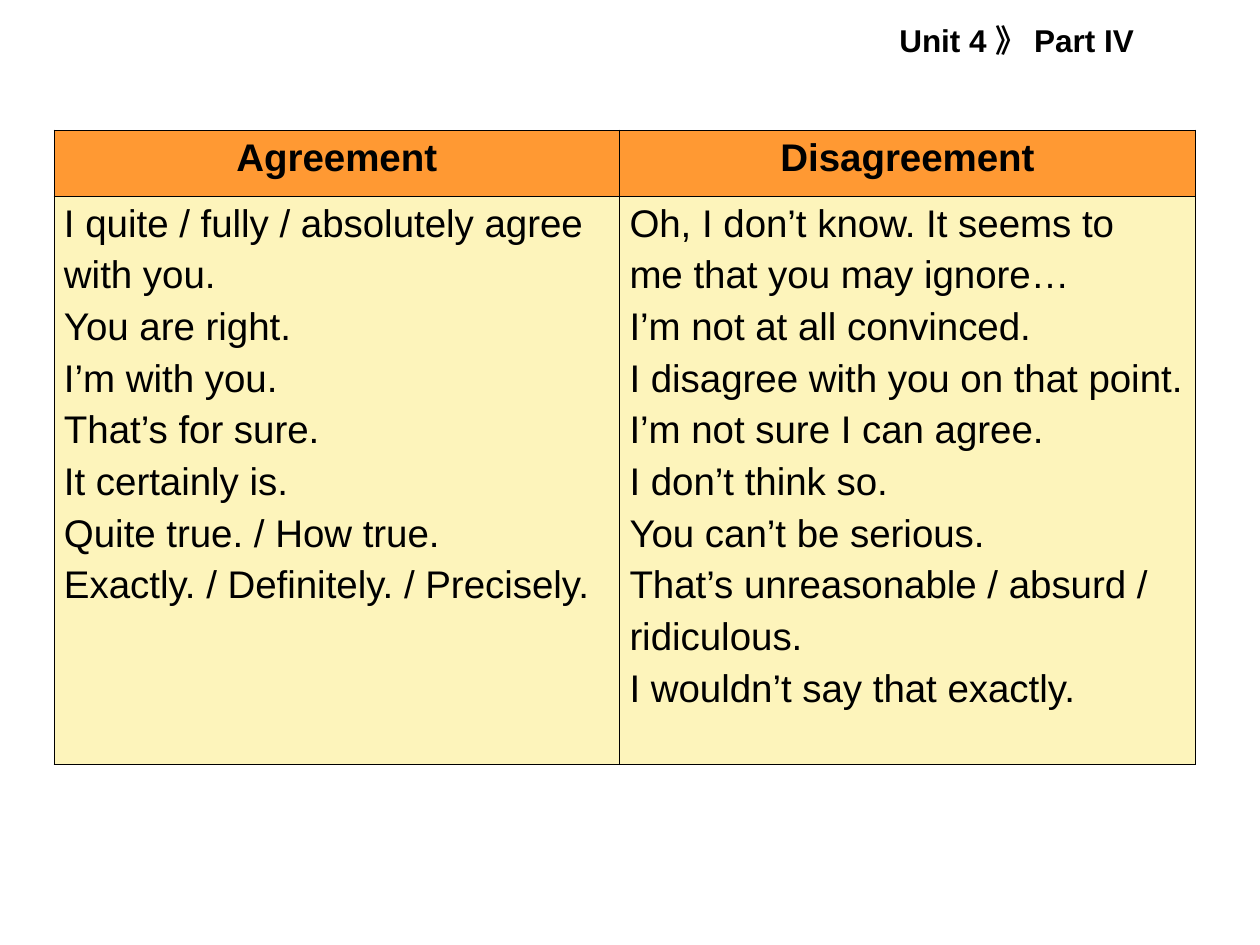
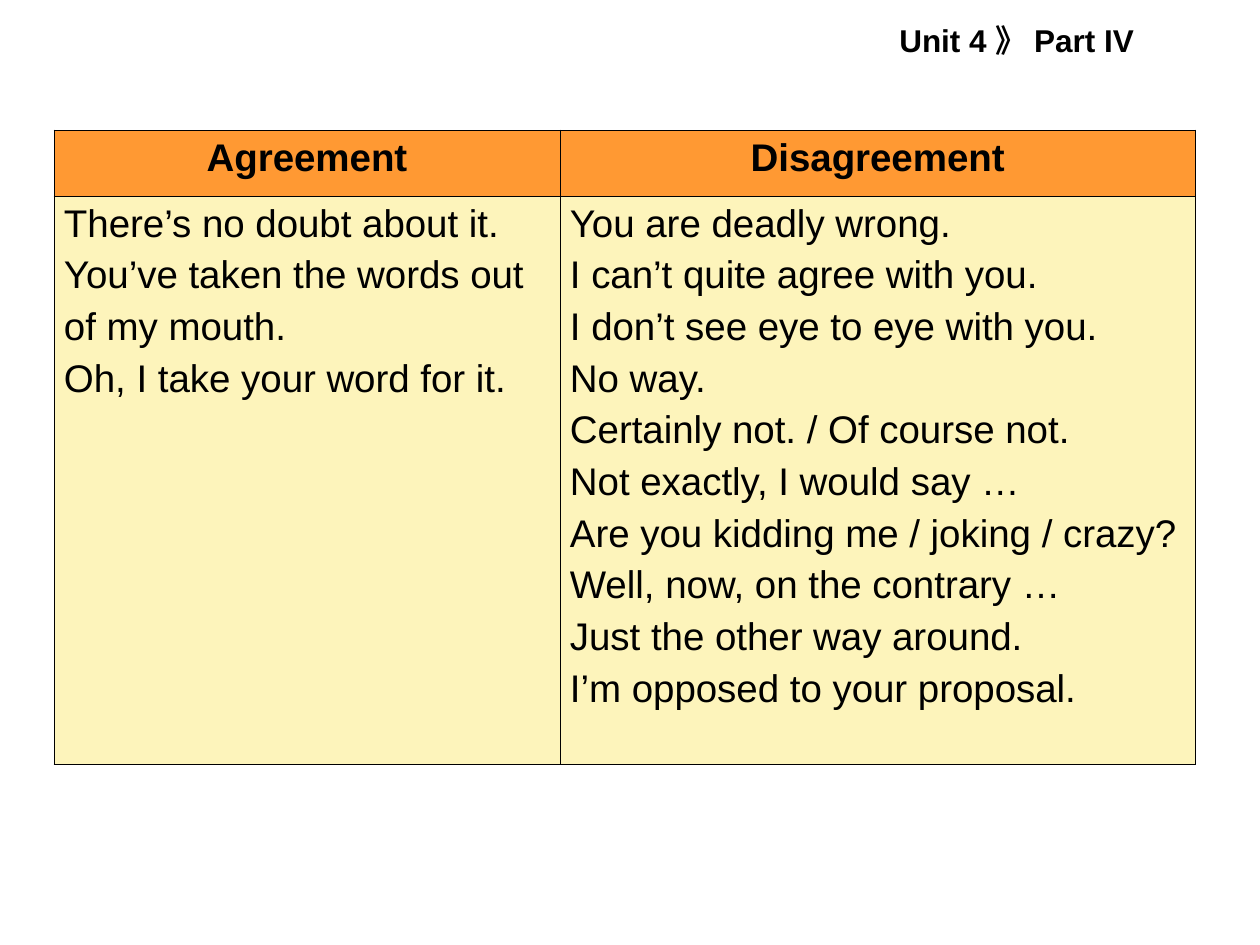
"""Build two slides of phrases for agreeing and disagreeing."""
from dataclasses import dataclass

from lxml.etree import SubElement
from pptx import Presentation
from pptx.dml.color import RGBColor as Rgb
from pptx.enum.text import MSO_AUTO_SIZE as AutoSize, PP_ALIGN as Align
from pptx.oxml.ns import qn
from pptx.util import Cm, Pt

RUNNING_HEAD = "Unit 4 》 Part IV"
COLUMN_TITLES = ("Agreement", "Disagreement")
PHRASE_SLIDES = [
    {
        "agreement_width": 11.4,
        "phrases": (
            [
                "I quite / fully / absolutely agree",
                "with you.",
                "You are right.",
                "I’m with you.",
                "That’s for sure.",
                "It certainly is.",
                "Quite true. / How true.",
                "Exactly. / Definitely. / Precisely.",
            ],
            [
                "Oh, I don’t know. It seems to",
                "me that you may ignore…",
                "I’m not at all convinced.",
                "I disagree with you on that point.",
                "I’m not sure I can agree.",
                "I don’t think so.",
                "You can’t be serious.",
                "That’s unreasonable / absurd /",
                "ridiculous.",
                "I wouldn’t say that exactly.",
            ],
        ),
    },
    {
        "agreement_width": 10.2,
        "phrases": (
            [
                "There’s no doubt about it.",
                "You’ve taken the words out",
                "of my mouth.",
                "Oh, I take your word for it.",
            ],
            [
                "You are deadly wrong.",
                "I can’t quite agree with you.",
                "I don’t see eye to eye with you.",
                "No way.",
                "Certainly not. / Of course not.",
                "Not exactly, I would say …",
                "Are you kidding me / joking / crazy?",
                "Well, now, on the contrary …",
                "Just the other way around.",
                "I’m opposed to your proposal.",
            ],
        ),
    },
]


@dataclass(frozen=True)
class Theme:
    """Colours, type sizes and line weights of the deck."""
    font: str = "Arial"
    ink: str = "000000"
    title_fill: str = "FF9933"
    phrase_fill: str = "FDF4BB"
    head_size: float = 18
    table_size: float = 22
    phrase_gap: float = 4.9
    border: float = 0.45


THEME = Theme()
SLIDE_WIDTH, SLIDE_HEIGHT = 25.4, 19.05
TABLE_LEFT, TABLE_TOP, TABLE_WIDTH = 1.09, 2.62, 23.01
ROW_HEIGHTS = (1.33, 11.46)
CELL_MARGINS = {
    "margin_left": Cm(0.2), "margin_right": Cm(0.2),
    "margin_top": Cm(0.13), "margin_bottom": Cm(0.13),
}


def apply_format(target, values):
    """Set every attribute named in values on target."""
    for name, value in values.items():
        setattr(target, name, value)


def write_lines(frame, lines, size, bold, align=Align.LEFT):
    """Write one paragraph per line with the theme's font."""
    for index, line in enumerate(lines):
        paragraph = frame.add_paragraph() if index else frame.paragraphs[0]
        paragraph.text = line
        spacing = Pt(THEME.phrase_gap if index else 0)
        apply_format(paragraph, {"alignment": align, "space_before": spacing})
        apply_format(paragraph.font, {"name": THEME.font, "size": Pt(size), "bold": bold})
        paragraph.font.color.rgb = Rgb.from_string(THEME.ink)


def style_cell(cell, fill):
    """Give a cell its margins, four thin borders and a fill."""
    apply_format(cell, CELL_MARGINS)
    properties = cell._tc.get_or_add_tcPr()
    for side in ("a:lnL", "a:lnR", "a:lnT", "a:lnB"):
        line = SubElement(properties, qn(side), w=str(Pt(THEME.border)))
        SubElement(SubElement(line, qn("a:solidFill")), qn("a:srgbClr"), val=THEME.ink)
    cell.fill.solid()
    cell.fill.fore_color.rgb = Rgb.from_string(fill)


def add_running_head(slide):
    """Add the unit and part line at the top right."""
    box = slide.shapes.add_textbox(Cm(17.88), Cm(0.3), Cm(5.56), Cm(1.02))
    apply_format(box.text_frame, {"word_wrap": False, "auto_size": AutoSize.SHAPE_TO_FIT_TEXT})
    write_lines(box.text_frame, [RUNNING_HEAD], THEME.head_size, True)


def add_phrase_table(slide, agreement_width, phrases):
    """Add the two-column table of phrases."""
    table = slide.shapes.add_table(
        2, 2, Cm(TABLE_LEFT), Cm(TABLE_TOP), Cm(TABLE_WIDTH), Cm(sum(ROW_HEIGHTS))
    ).table
    for row, height in zip(table.rows, ROW_HEIGHTS):
        row.height = Cm(height)
    widths = (agreement_width, TABLE_WIDTH - agreement_width)
    for index, (width, title, lines) in enumerate(zip(widths, COLUMN_TITLES, phrases)):
        table.columns[index].width = Cm(width)
        title_cell, phrase_cell = table.cell(0, index), table.cell(1, index)
        style_cell(title_cell, THEME.title_fill)
        style_cell(phrase_cell, THEME.phrase_fill)
        write_lines(title_cell.text_frame, [title], THEME.table_size, True, Align.CENTER)
        write_lines(phrase_cell.text_frame, lines, THEME.table_size, False)


def main():
    """Build and save the presentation."""
    presentation = Presentation()
    apply_format(presentation, {"slide_width": Cm(SLIDE_WIDTH), "slide_height": Cm(SLIDE_HEIGHT)})
    for content in PHRASE_SLIDES:
        slide = presentation.slides.add_slide(presentation.slide_layouts[6])
        add_running_head(slide)
        add_phrase_table(slide, **content)
    presentation.save("out.pptx")


if __name__ == "__main__":
    main()
